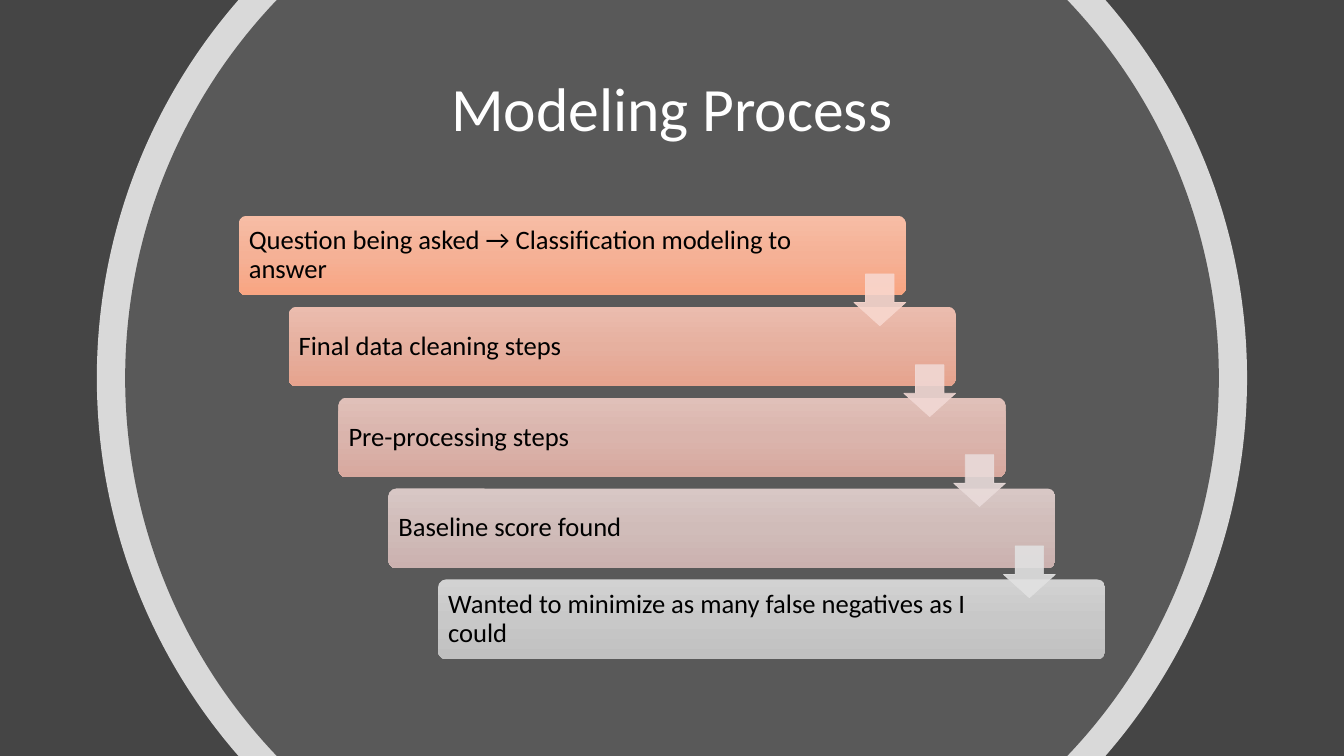
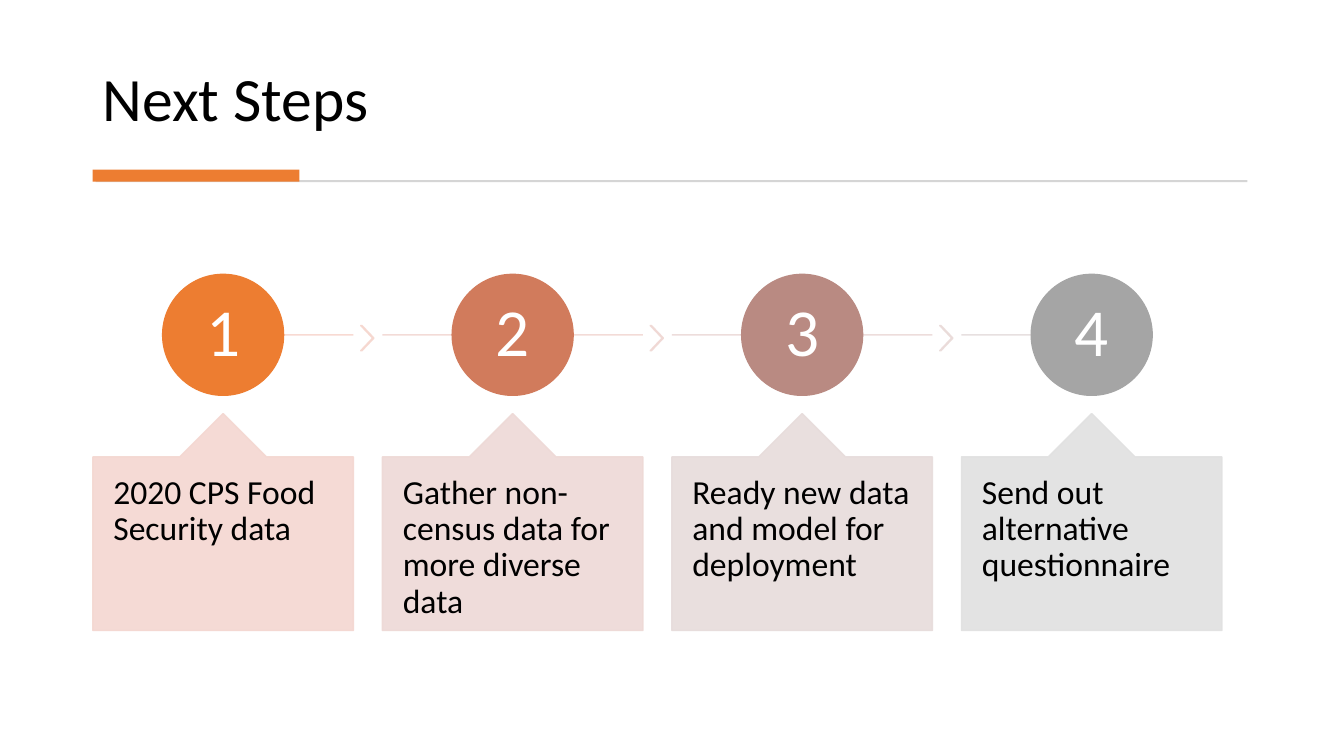
from copy import deepcopy
from math import asin, cos, pi, sin, tan

from lxml.etree import SubElement
from pptx import Presentation
from pptx.dml.color import RGBColor
from pptx.enum.shapes import MSO_CONNECTOR, MSO_SHAPE
from pptx.enum.text import MSO_ANCHOR, PP_ALIGN
from pptx.oxml.ns import qn
from pptx.util import Pt

FONT = "Calibri"
WHITE, BLACK = "FFFFFF", "000000"
ORANGE, GRAY = "ED7D31", "A5A5A5"
TITLE = {"size": 44}
rgb = RGBColor.from_string


def paint(shape, *fill, edge=None, width=1, alpha=100):
    """One fill colour is solid, three make a top-down gradient, none skips the fill."""
    if len(fill) == 3:
        shape.fill.gradient()
        shape.fill.gradient_angle = 270
        stops = shape._element.spPr.find(".//" + qn("a:gsLst"))
        stops.insert(1, deepcopy(stops[0]))
        stops[1].set("pos", "50000")
        for stop, color in zip(shape.fill.gradient_stops, fill):
            stop.color.rgb = rgb(color)
    elif fill:
        shape.fill.solid()
        shape.fill.fore_color.rgb = rgb(fill[0])
    if edge:
        shape.line.color.rgb = rgb(edge)
        shape.line.width = Pt(width)
    else:
        shape.line.fill.background()
    props = shape._element.spPr
    if alpha < 100:
        for color in props.iter(qn("a:srgbClr")):
            SubElement(color, qn("a:alpha")).set("val", str(alpha * 1000))
    SubElement(props, qn("a:effectLst"))


def write(shape, text, size, color=BLACK, align=PP_ALIGN.LEFT,
          anchor=MSO_ANCHOR.MIDDLE, pad=(7.2, 3.6, 7.2, 3.6)):
    """Set the text of a shape; pad is left, top, right, bottom."""
    frame = shape.text_frame
    frame.word_wrap = True
    frame.vertical_anchor = anchor
    (frame.margin_left, frame.margin_top,
     frame.margin_right, frame.margin_bottom) = map(Pt, pad)
    para = frame.paragraphs[0]
    para.alignment = align
    para.line_spacing = 0.9
    run = para.add_run()
    run.text = text
    run.font.name = FONT
    run.font.size = Pt(size)
    run.font.color.rgb = rgb(color)


deck = Presentation()
deck.slide_width, deck.slide_height = Pt(960), Pt(540)
blank = deck.slide_layouts[6]

# Modeling process: staircase of steps on a clipped disc
slide = deck.slides.add_slide(blank)
shapes = slide.shapes
slide.background.fill.solid()
slide.background.fill.fore_color.rgb = rgb("454545")

for radius, color, alpha in [(410.8, WHITE, 80), (390.6, "595959", 100)]:
    # Each side is an arc of two Bezier curves, in hundredths of a point
    reach = asin(270 / radius)
    pull = 4 / 3 * tan(reach / 4)
    points = []
    for start in (-reach, pi - reach):
        for turn, ways in [(start, (0, 1)), (start + reach, (-1, 0, 1)),
                           (start + 2 * reach, (-1, 0))]:
            for way in ways:
                x = 480 + radius * (cos(turn) - way * pull * sin(turn))
                y = 270 + radius * (sin(turn) + way * pull * cos(turn))
                points.append((100 * x, 100 * y))
    pen = shapes.build_freeform(*points[0], scale=Pt(0.01))
    pen.add_line_segments(points[1:], close=True)
    disk = pen.convert_to_shape()
    trace = disk._element.spPr.find(".//" + qn("a:path"))
    lines = trace.findall(qn("a:lnTo"))
    for first in (0, 3, 7, 10):
        curve = SubElement(trace, qn("a:cubicBezTo"))
        lines[first].addprevious(curve)
        for line in lines[first:first + 3]:
            curve.append(line[0])
            trace.remove(line)
    paint(disk, color, alpha=alpha)

box = shapes.add_textbox(Pt(182), Pt(28.8), Pt(596), Pt(101.5))
write(box, "Modeling Process", color=WHITE, align=PP_ALIGN.CENTER, **TITLE)

steps = [
    ("Question being asked → Classification modeling to answer",
     "F7BDA5", "F5B196", "F8A582"),
    ("Final data cleaning steps", "EBBCAE", "E6B09F", "E6A38E"),
    ("Pre-processing steps", "E0C0B9", "DAB4AC", "D7A89E"),
    ("Baseline score found", "D8C7C5", "D0BCB9", "CBB1AF"),
    ("Wanted to minimize as many false negatives as I could",
     "D2D2D2", "C8C8C8", "C0C0C0"),
]
left, top, shift, drop = 170.5, 154.1, 35.6, 64.95
for i, (text, *shades) in enumerate(steps):
    bar = shapes.add_shape(MSO_SHAPE.ROUNDED_RECTANGLE, Pt(left + i * shift),
                           Pt(top + i * drop), Pt(476.6), Pt(56.9))
    bar.adjustments[0] = 0.1
    paint(bar, *shades)
    write(bar, text, 19, pad=(5.6, 5.8, 70, 5.8))

arrows = [(195.7, "F8D7CE"), (260.6, "F1D8D4"), (324.8, "E9DBDA"), (390, "E1E1E1")]
for i, (y, color) in enumerate(arrows):
    arrow = shapes.add_shape(MSO_SHAPE.DOWN_ARROW, Pt(left + 439.5 + i * shift),
                             Pt(y), Pt(37), Pt(37))
    arrow.adjustments[0], arrow.adjustments[1] = 0.55, 0.45
    paint(arrow, color, edge=color, width=0.5, alpha=90)

# Next steps: numbered circles over callouts
slide = deck.slides.add_slide(blank)
shapes = slide.shapes
slide.background.fill.solid()
slide.background.fill.fore_color.rgb = rgb(WHITE)

box = shapes.add_textbox(Pt(66.2), Pt(20.2), Pt(827.3), Pt(79.9))
write(box, "Next Steps", anchor=MSO_ANCHOR.BOTTOM, **TITLE)

for x, y, w, h, color in [(68.4, 128.7, 822.6, 1.4, "D5D5D5"),
                          (66.2, 121.2, 147.6, 8.6, ORANGE)]:
    rule = shapes.add_shape(MSO_SHAPE.RECTANGLE, Pt(x), Pt(y), Pt(w), Pt(h))
    paint(rule, color)

# text, circle, line, chevron, callout
cards = [
    ("2020 CPS Food Security data", ORANGE, "F8D7CE", "F6D7CF", "F4D7D1"),
    ("Gather non-census data for more diverse data",
     "D17B5C", "F2D8D3", "F0D8D4", "EED9D6"),
    ("Ready new data and model for deployment",
     "B98A82", "ECDAD8", "EADBD9", "E7DCDB"),
    ("Send out alternative questionnaire", GRAY, "E5DDDD", None, "E1E1E1"),
]
wide, disc = 186, 86.4
for i, (text, dot, wire, tip, pale) in enumerate(cards):
    x = 66.4 + i * 206.8
    mid = x + wide / 2
    begin = x if i else mid
    end = x + wide if tip else mid
    link = shapes.add_connector(MSO_CONNECTOR.STRAIGHT,
                                Pt(begin), Pt(239.2), Pt(end), Pt(239.2))
    paint(link, edge=wire, alpha=90)

    if tip:
        mark = shapes.add_shape(MSO_SHAPE.CHEVRON, Pt(x + 191.2), Pt(232.5),
                                Pt(9.5), Pt(18))
        mark.adjustments[0] = 0.9
        paint(mark, tip, edge=tip, alpha=90)

    ball = shapes.add_shape(MSO_SHAPE.OVAL, Pt(mid - disc / 2), Pt(196),
                            Pt(disc), Pt(disc))
    paint(ball, dot, edge=dot)
    write(ball, str(i + 1), 48, WHITE, PP_ALIGN.CENTER, pad=(0, 0, 0, 0))

    card = shapes.add_shape(MSO_SHAPE.UP_ARROW_CALLOUT, Pt(x), Pt(295.4),
                            Pt(wide), Pt(155))
    for n, value in enumerate([0.5, 0.2, 0.2, 1]):
        card.adjustments[n] = value
    paint(card, pale, edge=pale, alpha=90)
    write(card, text, 24, anchor=MSO_ANCHOR.TOP, pad=(14.6, 13.2, 14.6, 0))

deck.save("out.pptx")
